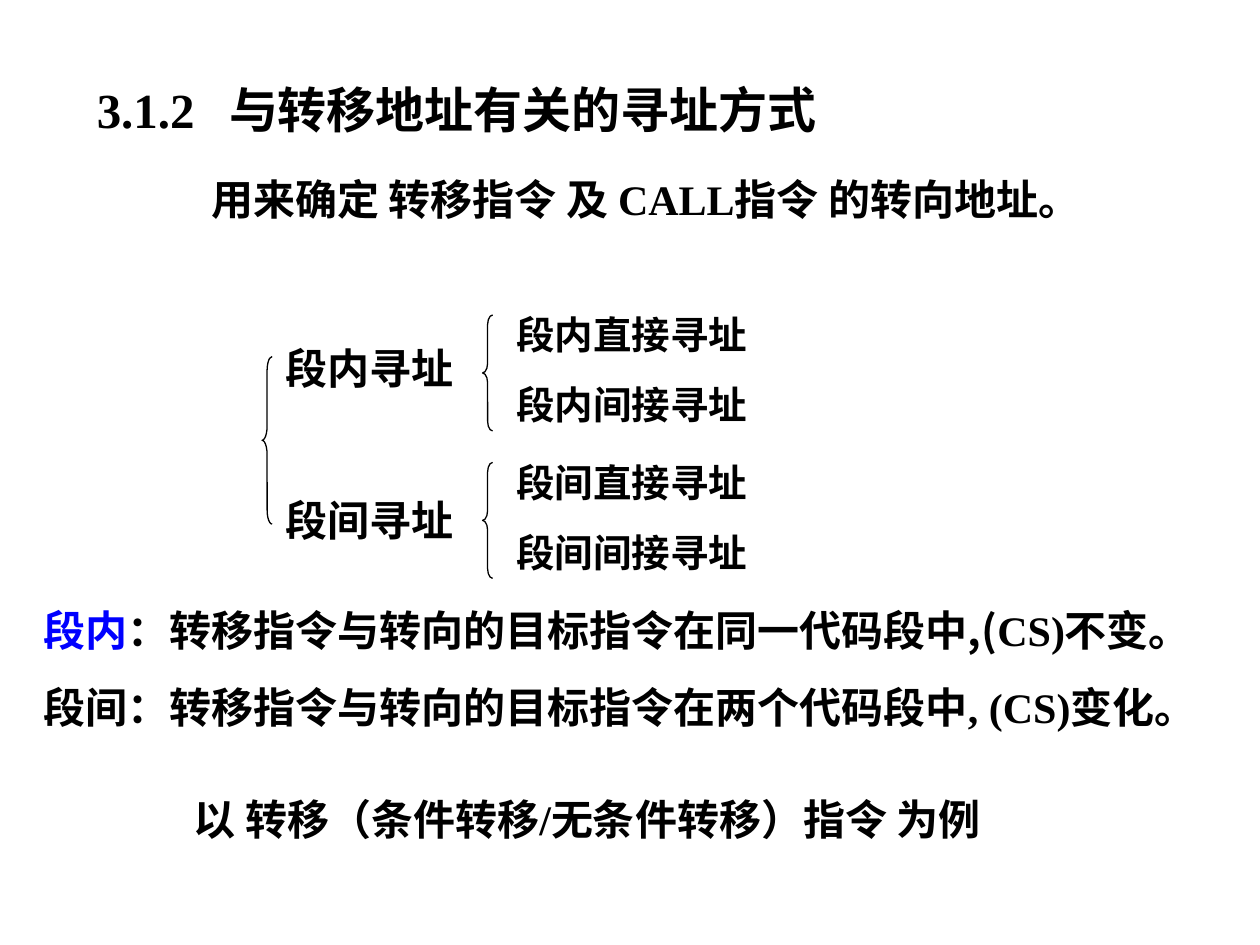
import pptx
import pptx.dml.color
import pptx.enum.shapes
import pptx.enum.text
import pptx.oxml.ns
import pptx.util
from lxml import etree

Inches = pptx.util.Inches
Pt = pptx.util.Pt

LATIN = "Times New Roman"
CHINESE = "Noto Sans CJK SC"
BLACK = "000000"
BLUE = "0000FF"


def color(hex_text):
    return pptx.dml.color.RGBColor.from_string(hex_text)


def format_span(span, size, hex_text=BLACK, latin=LATIN):
    font = span.font
    font.size = Pt(size)
    font.bold = True
    font.color.rgb = color(hex_text)
    font.name = latin
    east_asian = etree.SubElement(font._element, pptx.oxml.ns.qn("a:ea"))
    east_asian.set("typeface", CHINESE)


def add_text(page, left, top, width, height, lines, size, gap=15, wrap=True):
    """Add a text box; gap is the space in points before each later paragraph."""
    box = page.shapes.add_textbox(
        Inches(left), Inches(top), Inches(width), Inches(height))
    frame = box.text_frame
    frame.text = "\n".join(lines)
    frame.word_wrap = wrap
    frame.auto_size = pptx.enum.text.MSO_AUTO_SIZE.SHAPE_TO_FIT_TEXT
    for index, para in enumerate(frame.paragraphs):
        para.space_before = Pt(gap if index else 0)
        for span in para.runs:
            format_span(span, size)
    return box


def set_first_indent(para, indent):
    para._p.get_or_add_pPr().set("indent", str(Inches(indent)))


def add_tab_stop(para, position):
    properties = para._p.get_or_add_pPr()
    stops = etree.SubElement(properties, pptx.oxml.ns.qn("a:tabLst"))
    stop = etree.SubElement(stops, pptx.oxml.ns.qn("a:tab"))
    stop.set("pos", str(Inches(position)))
    stop.set("algn", "l")


def split_spans(para, parts, size):
    """Replace the paragraph's text with (text, colour, latin font) parts."""
    para.clear()
    for text, hex_text, latin in parts:
        span = para.add_run()
        span.text = text
        format_span(span, size, hex_text, latin)


def add_brace(page, left, top, height):
    width = 0.08
    brace = page.shapes.add_shape(
        pptx.enum.shapes.MSO_SHAPE.LEFT_BRACE,
        Inches(left), Inches(top), Inches(width), Inches(height))
    brace.adjustments[0] = height / 12 / width
    brace.shadow.inherit = False
    brace.fill.background()
    brace.line.color.rgb = color(BLACK)
    brace.line.width = Pt(0.75)


def add_heading(page):
    title = add_text(page, 0.67, 0.58, 8.33, 0.57,
                     ["3.1.2\t与转移地址有关的寻址方式"], 28)
    add_tab_stop(title.text_frame.paragraphs[0], 1.05)
    purpose = add_text(page, 0.92, 1.33, 8.17, 0.5,
                       ["用来确定 转移指令 及 CALL指令 的转向地址。"], 24)
    set_first_indent(purpose.text_frame.paragraphs[0], 0.66)


def add_classification(page):
    kinds = ["段内", "段间"]
    add_text(page, 2.17, 2.67, 7.17, 1.72,
             [kind + "寻址" for kind in kinds], 24, gap=58)
    add_brace(page, 2.08, 2.83, 1.33)
    for index, kind in enumerate(kinds):
        top = 2.42 + 1.17 * index
        add_brace(page, 3.83, top + 0.08, 0.92)
        add_text(page, 4, top, 2.75, 1.03,
                 [kind + "直接寻址", kind + "间接寻址"], 22, gap=13.8)


def add_definitions(page):
    within = [
        ("段内", BLUE, LATIN),
        ("：转移指令与转向的目标指令在同一代码段中", BLACK, LATIN),
        (",(", BLACK, CHINESE),
        ("CS)", BLACK, LATIN),
        ("不变。", BLACK, CHINESE),
    ]
    between = "段间：转移指令与转向的目标指令在两个代码段中, (CS)变化。"
    box = add_text(page, 0.25, 4.75, 9.33, 1.11,
                   ["".join(part[0] for part in within), between], 24)
    split_spans(box.text_frame.paragraphs[0], within, 24)


def main():
    deck = pptx.Presentation()
    deck.slide_width = Inches(10)
    deck.slide_height = Inches(7.5)
    page = deck.slides.add_slide(deck.slide_layouts[6])
    add_heading(page)
    add_classification(page)
    add_text(page, 1.44, 6.25, 6.6, 0.5,
             ["以 转移（条件转移/无条件转移）指令 为例"], 24, wrap=False)
    add_definitions(page)
    deck.save("out.pptx")


if __name__ == "__main__":
    main()
